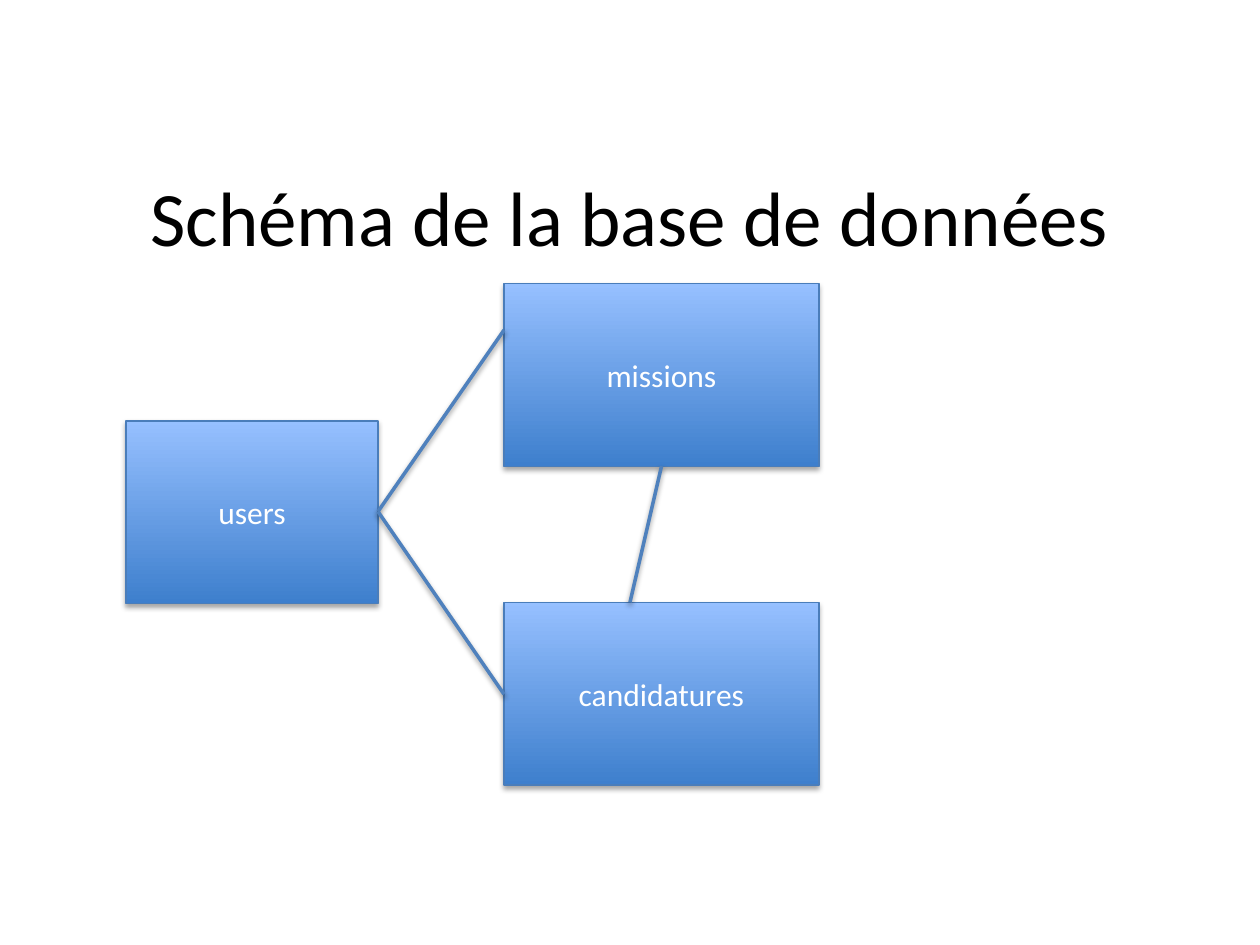
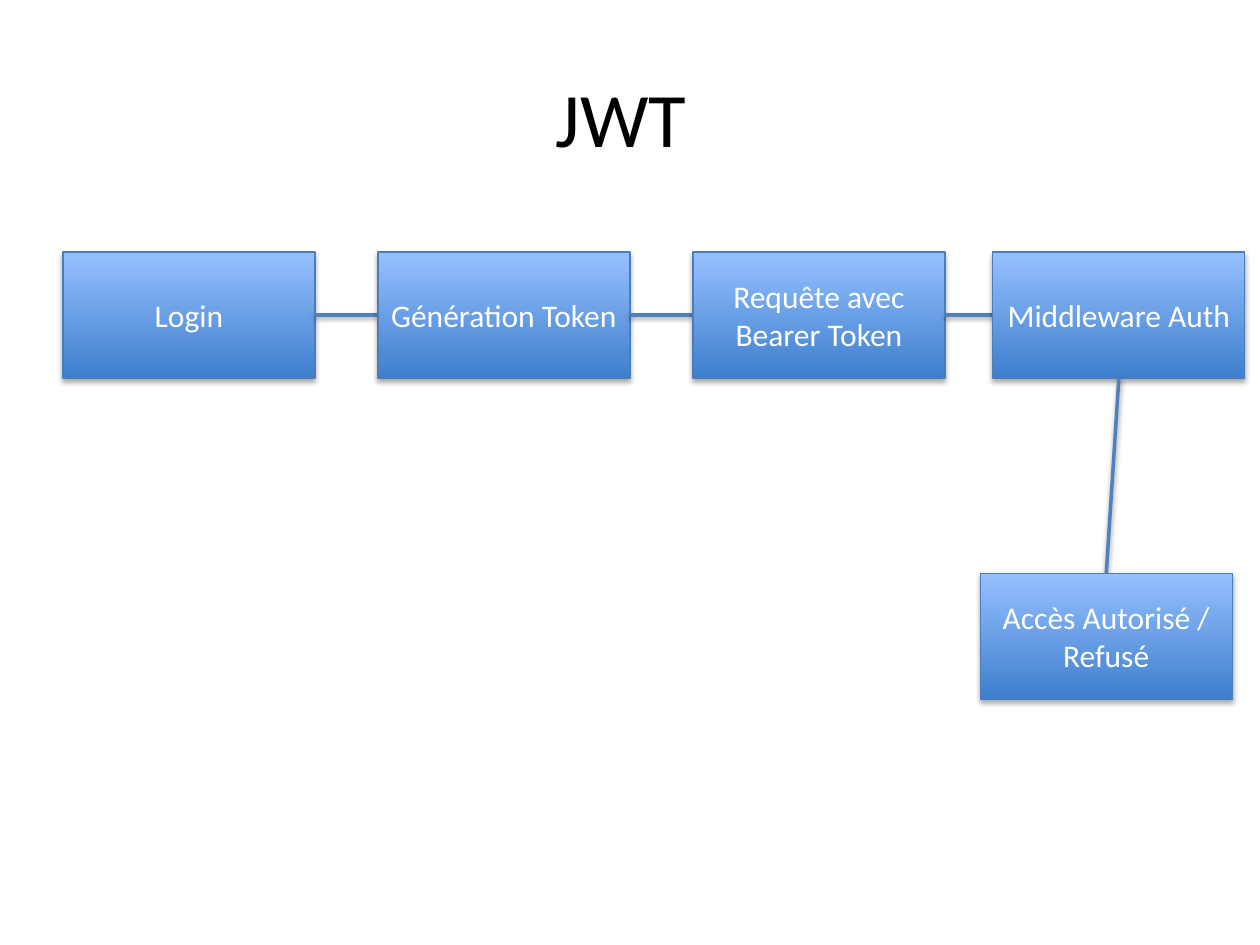
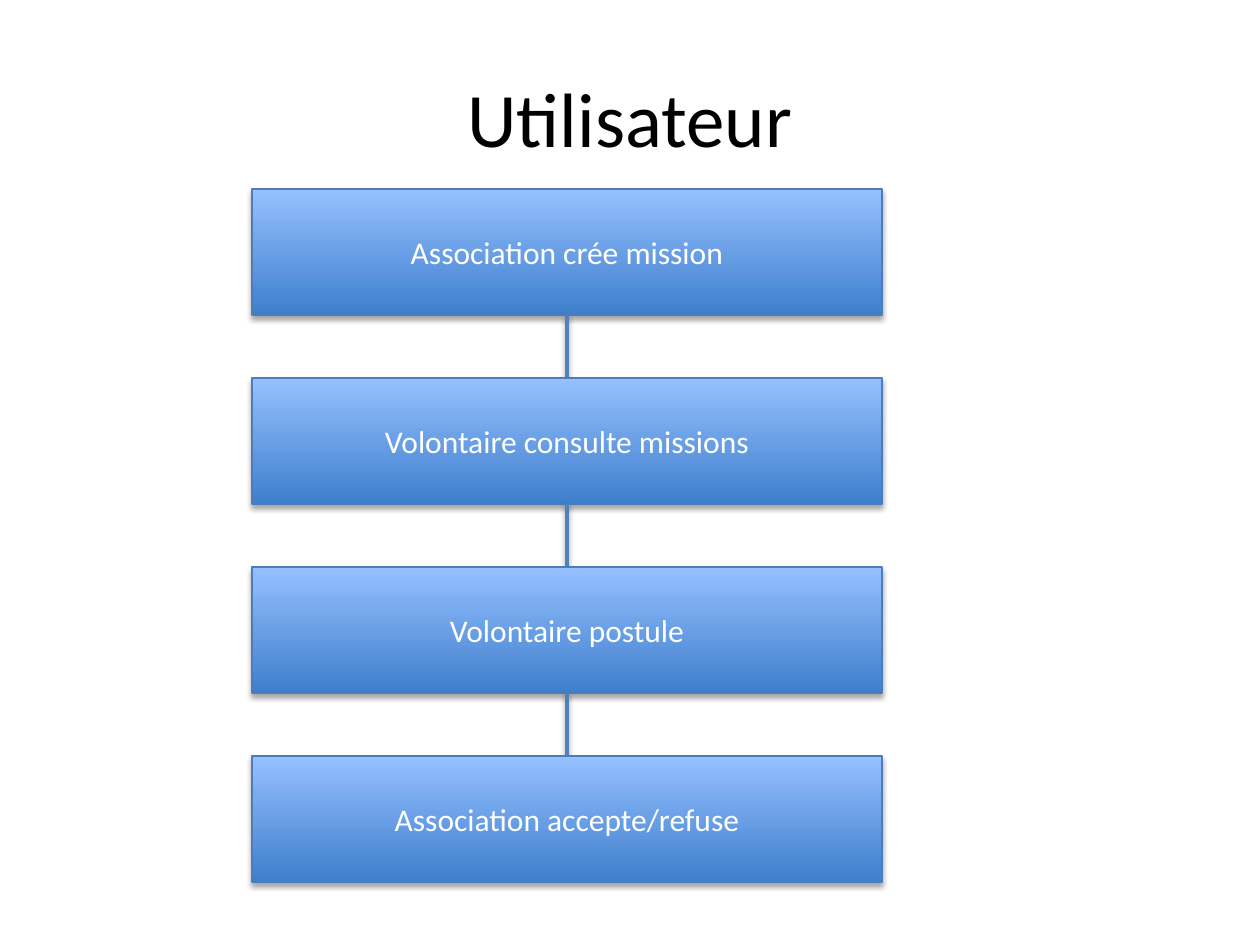
from dataclasses import dataclass

from lxml.etree import SubElement
from pptx import Presentation
from pptx.dml.color import RGBColor
from pptx.enum.shapes import MSO_CONNECTOR, MSO_SHAPE
from pptx.enum.text import MSO_ANCHOR, PP_ALIGN
from pptx.oxml.ns import qn
from pptx.util import Inches, Pt


@dataclass(frozen=True)
class Theme:
    font: str = "Calibri"
    title_size: int = 44
    box_size: int = 18
    ink: str = "000000"
    paper: str = "FFFFFF"
    low: str = "3E7FCD"
    high: str = "96C0FF"
    edge: str = "4A7DBA"
    link: str = "4F81BD"
    edge_width: float = 0.75
    link_width: float = 2


THEME = Theme()

# Boxes are (label, left, top, width, height); links are (from, to).
TABLES = [
    ("users", 1, 3.34, 2, 1.45),
    ("missions", 4, 2.25, 2.5, 1.45),
    ("candidatures", 4, 4.78, 2.5, 1.45),
]
KEYS = [
    ((3, 4.06), (4, 2.62)),
    ((3, 4.06), (4, 5.51)),
    ((5.25, 3.7), (5, 4.78)),
]
TOKEN_STEPS = [
    ("Login", 0.5),
    ("Génération Token", 3),
    ("Requête avec Bearer Token", 5.5),
    ("Middleware Auth", 7.88),
]
RESULT = ("Accès Autorisé / Refusé", 7.78, 4.55)
USER_STEPS = [
    "Association crée mission",
    "Volontaire consulte missions",
    "Volontaire postule",
    "Association accepte/refuse",
]
GAP = 0.5


def style(frame, size, color):
    frame.word_wrap = True
    frame.vertical_anchor = MSO_ANCHOR.MIDDLE
    for par in frame.paragraphs:
        par.alignment = PP_ALIGN.CENTER
        for run in par.runs:
            run.font.name = THEME.font
            run.font.size = Pt(size)
            run.font.color.rgb = RGBColor.from_string(color)


def stroke(line, color, width):
    line.color.rgb = RGBColor.from_string(color)
    line.width = Pt(width)


def shade(item, drop, alpha):
    """Cast a soft shadow straight down; call it after fill and line are set."""
    effects = SubElement(item._element.spPr, qn("a:effectLst"))
    shadow = SubElement(effects, qn("a:outerShdw"), blurRad=str(Pt(3.1)),
                        dist=str(Pt(drop)), dir="5400000", rotWithShape="0")
    color = SubElement(shadow, qn("a:srgbClr"), val=THEME.ink)
    SubElement(color, qn("a:alpha"), val=str(alpha * 1000))


def add_slide(deck, title, top=0.3, height=1.25):
    slide = deck.slides.add_slide(deck.slide_layouts[5])
    head = slide.shapes.title
    head.left, head.top = Inches(0.5), Inches(top)
    head.width, head.height = Inches(9), Inches(height)
    head.text_frame.text = title
    style(head.text_frame, THEME.title_size, THEME.ink)
    return slide


def add_box(slide, label, left, top, width, height):
    box = slide.shapes.add_shape(
        MSO_SHAPE.RECTANGLE, *map(Inches, (left, top, width, height)))
    box.fill.gradient()
    box.fill.gradient_angle = 90
    for stop, color in zip(box.fill.gradient_stops, (THEME.low, THEME.high)):
        stop.color.rgb = RGBColor.from_string(color)
    stroke(box.line, THEME.edge, THEME.edge_width)
    shade(box, 1.8, 35)
    box.text_frame.text = label
    style(box.text_frame, THEME.box_size, THEME.paper)


def add_link(slide, start, end):
    link = slide.shapes.add_connector(
        MSO_CONNECTOR.STRAIGHT, *map(Inches, (*start, *end)))
    stroke(link.line, THEME.link, THEME.link_width)
    shade(link, 1.6, 38)


def add_schema(deck):
    slide = add_slide(deck, "Schéma de la base de données", 0.81, 1.81)
    for table in TABLES:
        add_box(slide, *table)
    for start, end in KEYS:
        add_link(slide, start, end)


def add_token(deck):
    slide = add_slide(deck, "JWT ")
    top, width, height = 2, 2, 1
    mid = top + height / 2
    for i, (label, left) in enumerate(TOKEN_STEPS):
        if i:
            edge = TOKEN_STEPS[i - 1][1] + width
            add_link(slide, (edge, mid), (edge + GAP, mid))
        add_box(slide, label, left, top, width, height)
    label, end, low = RESULT
    add_link(slide, (left + width / 2, top + height), (end + width / 2, low))
    add_box(slide, label, end, low, width, height)


def add_user(deck):
    slide = add_slide(deck, "Utilisateur")
    left, first, width, height = 2, 1.5, 5, 1
    mid = left + width / 2
    for i, label in enumerate(USER_STEPS):
        top = first + i * (height + GAP)
        if i:
            add_link(slide, (mid, top - GAP), (mid, top))
        add_box(slide, label, left, top, width, height)


def main():
    deck = Presentation()
    deck.slide_width, deck.slide_height = Inches(10), Inches(7.5)
    add_schema(deck)
    add_token(deck)
    add_user(deck)
    deck.save("out.pptx")


if __name__ == "__main__":
    main()
